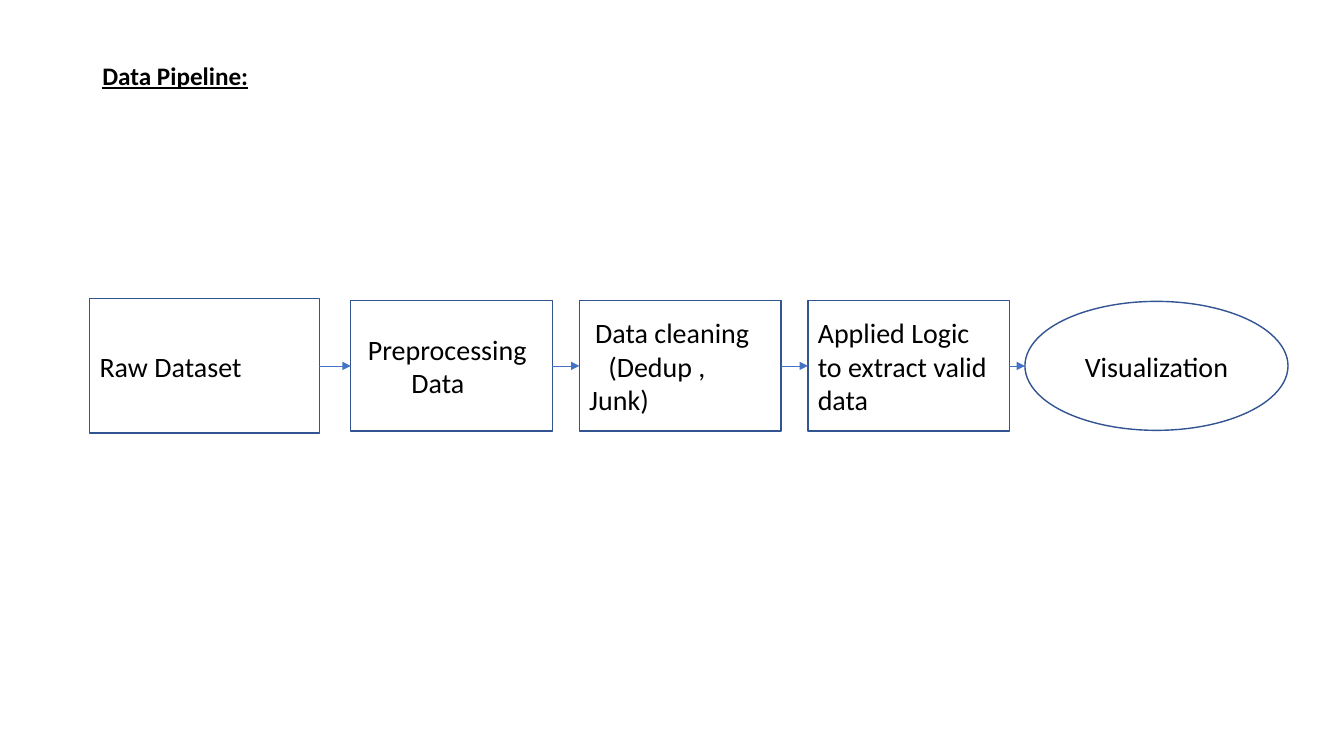
from itertools import pairwise

from lxml import etree
from pptx import Presentation
from pptx.dml.color import RGBColor
from pptx.enum.shapes import MSO_CONNECTOR, MSO_SHAPE
from pptx.enum.text import MSO_ANCHOR, PP_ALIGN
from pptx.oxml.ns import qn
from pptx.util import Cm, Pt

RECT, OVAL = MSO_SHAPE.RECTANGLE, MSO_SHAPE.OVAL
STRAIGHT = MSO_CONNECTOR.STRAIGHT
TOP, MIDDLE = MSO_ANCHOR.TOP, MSO_ANCHOR.MIDDLE
LEFT, CENTER = PP_ALIGN.LEFT, PP_ALIGN.CENTER

BLACK = RGBColor(0x00, 0x00, 0x00)
OUTLINE = RGBColor(0x32, 0x54, 0x91)
ARROW = RGBColor(0x44, 0x72, 0xC4)

AXIS_Y = 9.22
STEP_LEFT, STEP_PITCH, STEP_WIDTH, STEP_HEIGHT = 8.84, 5.76, 5.08, 3.28


class PipelineSlide:
    font = "Calibri"

    def __init__(self, prs):
        self.slide = prs.slides.add_slide(prs.slide_layouts[6])

    def style(self, p, size, align=LEFT, indent=0.0):
        p.alignment = align
        p.font.name = self.font
        p.font.size = Pt(size)
        p.font.color.rgb = BLACK
        if indent:
            p._p.get_or_add_pPr().set("marL", str(Cm(indent)))

    def title(self, text, left, top, width, height):
        sp = self.slide.shapes.add_textbox(Cm(left), Cm(top), Cm(width), Cm(height))
        tf = sp.text_frame
        tf.word_wrap = True
        tf.vertical_anchor = TOP
        tf.margin_top = Cm(0.5)
        p = tf.paragraphs[0]
        p.text = text
        self.style(p, 18)
        p.font.bold = True
        p.font.underline = True

    def stage(self, kind, left, width, height, lines, align=LEFT):
        sp = self.slide.shapes.add_shape(
            kind, Cm(left), Cm(AXIS_Y - height / 2), Cm(width), Cm(height))
        sp.shadow.inherit = False
        sp.fill.background()
        sp.line.color.rgb = OUTLINE
        sp.line.width = Pt(1)
        tf = sp.text_frame
        tf.word_wrap = True
        tf.vertical_anchor = MIDDLE
        for i, (text, indent) in enumerate(lines):
            p = tf.add_paragraph() if i else tf.paragraphs[0]
            p.text = text
            self.style(p, 20, align, indent)
        return sp

    def arrow(self, source, target):
        y = Cm(AXIS_Y)
        cxn = self.slide.shapes.add_connector(
            STRAIGHT, source.left + source.width, y, target.left, y)
        cxn.line.color.rgb = ARROW
        cxn.line.width = Pt(0.5)
        etree.SubElement(cxn.line._get_or_add_ln(), qn("a:tailEnd"), type="triangle")
        etree.SubElement(cxn._element.spPr, qn("a:effectLst"))


def main():
    prs = Presentation()
    prs.slide_width, prs.slide_height = Cm(33.87), Cm(19.05)
    s = PipelineSlide(prs)
    s.title("Data Pipeline:", 2.33, 1.02, 29.21, 3.68)

    steps = [
        [("Preprocessing", 0.18), ("Data", 1.28)],
        [("Data cleaning", 0.15), ("(Dedup ,", 0.48), ("Junk)", 0)],
        [("Applied Logic to extract valid data", 0)],
    ]
    stages = [s.stage(RECT, 2.26, 5.79, 3.38, [("Raw Dataset", 0)])]
    for i, lines in enumerate(steps):
        left = STEP_LEFT + i * STEP_PITCH
        stages.append(s.stage(RECT, left, STEP_WIDTH, STEP_HEIGHT, lines))
    stages.append(s.stage(OVAL, 25.83, 6.63, 3.25, [("Visualization", 0)], CENTER))

    for source, target in pairwise(stages):
        s.arrow(source, target)
    prs.save("out.pptx")


if __name__ == "__main__":
    main()
